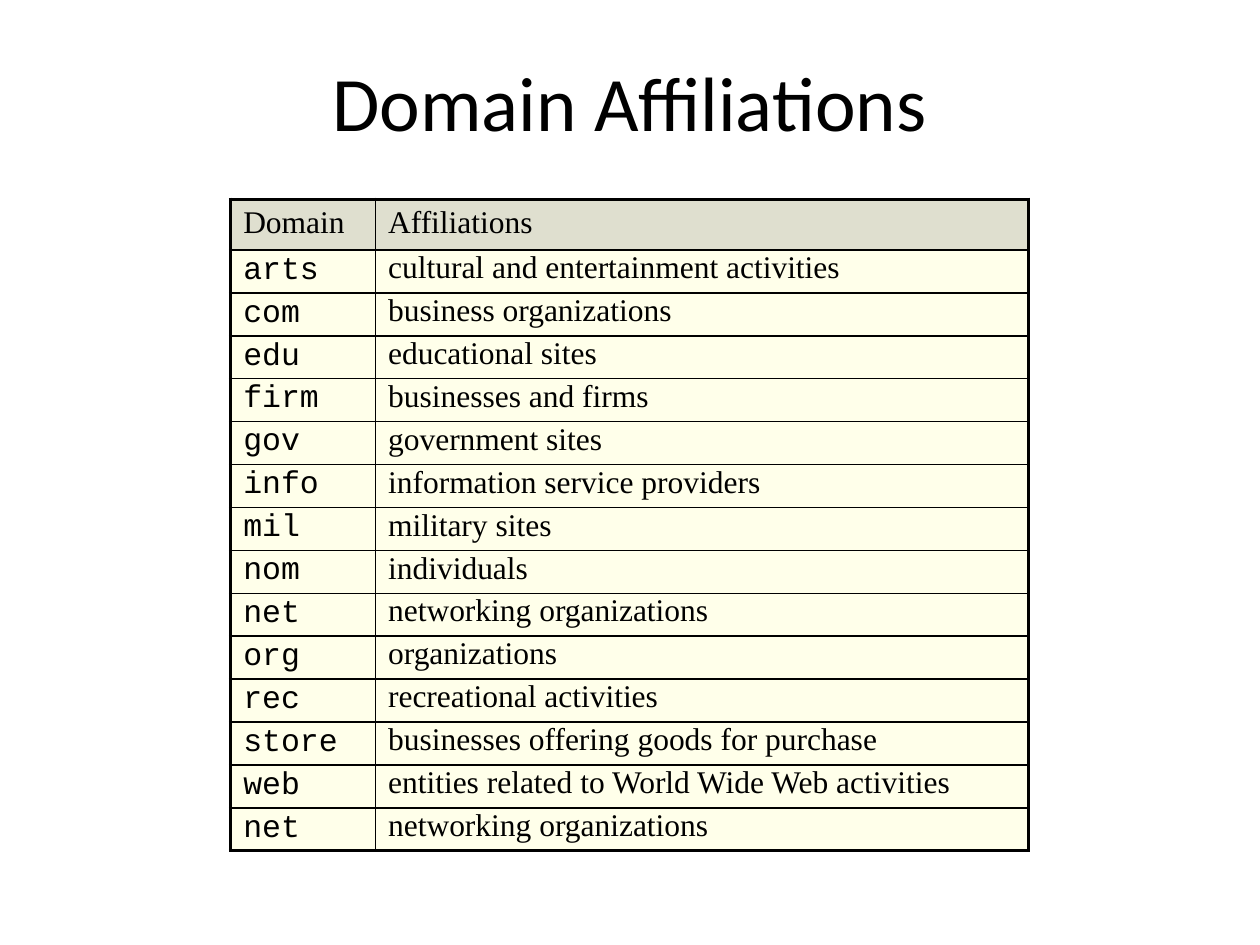
from lxml import etree
from pptx import Presentation
from pptx.dml.color import RGBColor
from pptx.enum.text import MSO_ANCHOR, PP_ALIGN
from pptx.oxml.ns import qn
from pptx.util import Cm, Pt

MIDDLE = MSO_ANCHOR.MIDDLE
CENTER = PP_ALIGN.CENTER

TITLE = "Domain Affiliations"
HEADER = ("Domain", "Affiliations")
DOMAINS = [
    ("arts", "cultural and entertainment activities"),
    ("com", "business organizations"),
    ("edu", "educational sites"),
    ("firm", "businesses and firms"),
    ("gov", "government sites"),
    ("info", "information service providers"),
    ("mil", "military sites"),
    ("nom", "individuals"),
    ("net", "networking organizations"),
    ("org", "organizations"),
    ("rec", "recreational activities"),
    ("store", "businesses offering goods for purchase"),
    ("web", "entities related to World Wide Web activities"),
    ("net", "networking organizations"),
]

COLORS = {"text": "000000", "border": "000000", "header": "DFDFCF", "body": "FFFFEA"}
TITLE_FONT = {"name": "Calibri", "size": Pt(44)}
TEXT_FONT = {"name": "Times New Roman", "size": Pt(18)}
CODE_FONT = {"name": "Courier New", "size": Pt(18)}
HEADER_SPACING = {"space_before": Pt(3.6)}
BODY_SPACING = {"space_before": Pt(3.6), "line_spacing": 0.8}

TITLE_BOX = (Cm(1.9), Cm(0.44), Cm(21.59), Cm(3.18))
TABLE_LEFT, TABLE_TOP, TABLE_HEIGHT = 4.65, 4.02, 13.11
COLUMN_WIDTHS = (2.92, 13.16)
HEADER_HEIGHT = 1.02
OUTER_LINE, INNER_LINE = Pt(2.25), Pt(1)


def apply(target, values):
    for name, value in values.items():
        setattr(target, name, value)


def write(paragraph, text, font):
    run = paragraph.add_run()
    run.text = text
    apply(run.font, font)
    run.font.color.rgb = RGBColor.from_string(COLORS["text"])


def set_borders(cell, widths):
    """Draw cell borders; widths maps side letters in the order L, R, T, B."""
    properties = cell._tc.get_or_add_tcPr()
    for position, (side, width) in enumerate(widths.items()):
        line = etree.Element(qn(f"a:ln{side}"), w=str(int(width)))
        fill = etree.SubElement(line, qn("a:solidFill"))
        etree.SubElement(fill, qn("a:srgbClr"), val=COLORS["border"])
        properties.insert(position, line)


def add_title(slide):
    frame = slide.shapes.add_textbox(*TITLE_BOX).text_frame
    apply(frame, {"word_wrap": True, "vertical_anchor": MIDDLE})
    paragraph = frame.paragraphs[0]
    paragraph.alignment = CENTER
    write(paragraph, TITLE, TITLE_FONT)


def add_domain_table(slide):
    rows = [HEADER, *DOMAINS]
    last_row, last_column = len(rows) - 1, len(HEADER) - 1
    body_height = (TABLE_HEIGHT - HEADER_HEIGHT) / len(DOMAINS)
    table = slide.shapes.add_table(
        len(rows), len(HEADER), Cm(TABLE_LEFT), Cm(TABLE_TOP),
        Cm(sum(COLUMN_WIDTHS)), Cm(TABLE_HEIGHT),
    ).table
    table.horz_banding = False
    for column, width in zip(table.columns, COLUMN_WIDTHS):
        column.width = Cm(width)

    for i, texts in enumerate(rows):
        is_header = i == 0
        table.rows[i].height = Cm(HEADER_HEIGHT if is_header else body_height)
        for j, text in enumerate(texts):
            cell = table.cell(i, j)
            cell.fill.solid()
            fill_color = COLORS["header" if is_header else "body"]
            cell.fill.fore_color.rgb = RGBColor.from_string(fill_color)
            at_edge = {"L": j == 0, "R": j == last_column, "T": is_header, "B": i == last_row}
            set_borders(cell, {side: OUTER_LINE if outer else INNER_LINE
                               for side, outer in at_edge.items()})
            paragraph = cell.text_frame.paragraphs[0]
            apply(paragraph, HEADER_SPACING if is_header else BODY_SPACING)
            is_code = j == 0 and not is_header
            write(paragraph, text, {**(CODE_FONT if is_code else TEXT_FONT), "bold": False})


def main():
    presentation = Presentation()
    apply(presentation, {"slide_width": Cm(25.4), "slide_height": Cm(19.05)})
    slide = presentation.slides.add_slide(presentation.slide_layouts[6])
    add_title(slide)
    add_domain_table(slide)
    presentation.save("out.pptx")


if __name__ == "__main__":
    main()
